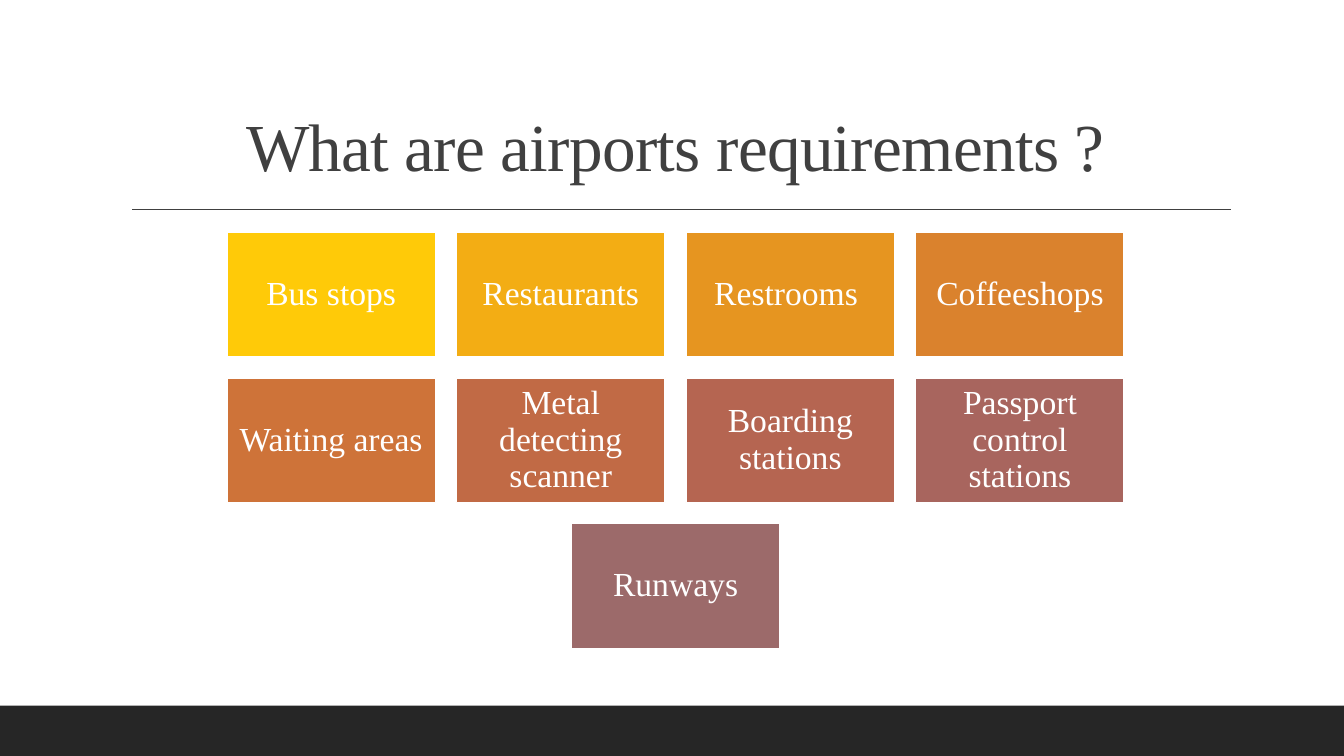
from dataclasses import dataclass

from lxml.etree import SubElement
from pptx import Presentation
from pptx.dml.color import RGBColor
from pptx.enum.shapes import MSO_CONNECTOR, MSO_SHAPE
from pptx.enum.text import MSO_ANCHOR, PP_ALIGN
from pptx.oxml.ns import qn
from pptx.shapes.autoshape import Shape
from pptx.slide import Slide
from pptx.text.text import TextFrame, _Run as Run
from pptx.util import Inches, Pt

FONT = "Times New Roman"
COLORS = {
    "white": "FFFFFF",
    "ink": "404040",
    "band": "262626",
    "bus": "FFCA08",
    "food": "F3AD14",
    "rest": "E69520",
    "coffee": "DA822D",
    "wait": "CE7339",
    "metal": "C16A45",
    "board": "B56551",
    "pass": "A8655E",
    "run": "9C6A6A",
}
COLS = 4
LEFT, TOP = 2.25, 2.3
WIDE, TALL = 2.07, 1.24
GAP = WIDE / 10


@dataclass(frozen=True)
class Tile:
    text: str
    fill: str


TILES = [
    Tile("Bus stops", "bus"),
    Tile("Restaurants", "food"),
    Tile("Restrooms ", "rest"),
    Tile("Coffeeshops", "coffee"),
    Tile("Waiting areas", "wait"),
    Tile("Metal detecting scanner", "metal"),
    Tile("Boarding stations", "board"),
    Tile("Passport control stations", "pass"),
    Tile("Runways", "run"),
]


def tint(name: str) -> RGBColor:
    return RGBColor.from_string(COLORS[name])


def add_text(frame: TextFrame, text: str, size: float, color: str) -> Run:
    frame.word_wrap = True
    para = frame.paragraphs[0]
    para.alignment = PP_ALIGN.CENTER
    para.line_spacing = 0.9
    run = para.add_run()
    run.text = text
    run.font.name = FONT
    run.font.size = Pt(size)
    run.font.color.rgb = tint(color)
    return run


def add_box(slide: Slide, left: float, top: float, wide: float, tall: float, fill: str) -> Shape:
    box = slide.shapes.add_shape(
        MSO_SHAPE.RECTANGLE, Inches(left), Inches(top), Inches(wide), Inches(tall)
    )
    box.shadow.inherit = False
    box.fill.solid()
    box.fill.fore_color.rgb = tint(fill)
    box.line.fill.background()
    return box


def add_tile(slide: Slide, tile: Tile, left: float, top: float) -> None:
    box = add_box(slide, left, top, WIDE, TALL, tile.fill)
    box.line.color.rgb = tint("white")
    box.line.width = Pt(1.25)
    frame = box.text_frame
    frame.vertical_anchor = MSO_ANCHOR.MIDDLE
    frame.margin_left = frame.margin_right = Inches(0.1)
    frame.margin_top = frame.margin_bottom = Inches(0.1)
    add_text(frame, tile.text, 24, "white")


def add_tiles(slide: Slide) -> None:
    for start in range(0, len(TILES), COLS):
        row = TILES[start:start + COLS]
        inset = (COLS - len(row)) * (WIDE + GAP) / 2
        top = TOP + start // COLS * (TALL + GAP)
        for col, tile in enumerate(row):
            add_tile(slide, tile, LEFT + inset + col * (WIDE + GAP), top)


def add_title(slide: Slide, text: str) -> None:
    title = slide.shapes.title
    title.left, title.top = Inches(1.2), Inches(0.31)
    title.width, title.height = Inches(11), Inches(1.59)
    title.text_frame.vertical_anchor = MSO_ANCHOR.BOTTOM
    run = add_text(title.text_frame, text, 48, "ink")
    run.font._element.set("spc", "-50")


def add_rule(slide: Slide) -> None:
    rule = slide.shapes.add_connector(
        MSO_CONNECTOR.STRAIGHT, Inches(1.31), Inches(2.08), Inches(12.21), Inches(2.08)
    )
    rule.line.color.rgb = tint("ink")
    rule.line.width = Pt(1)
    SubElement(rule._element.spPr, qn("a:effectLst"))


def main() -> None:
    deck = Presentation()
    deck.slide_width, deck.slide_height = Inches(13.33), Inches(7.5)
    slide = deck.slides.add_slide(deck.slide_layouts[5])
    add_title(slide, "What are airports requirements ?")
    add_rule(slide)
    add_box(slide, 0, 7, 13.33, 0.5, "band")
    add_tiles(slide)
    deck.save("out.pptx")


if __name__ == "__main__":
    main()
